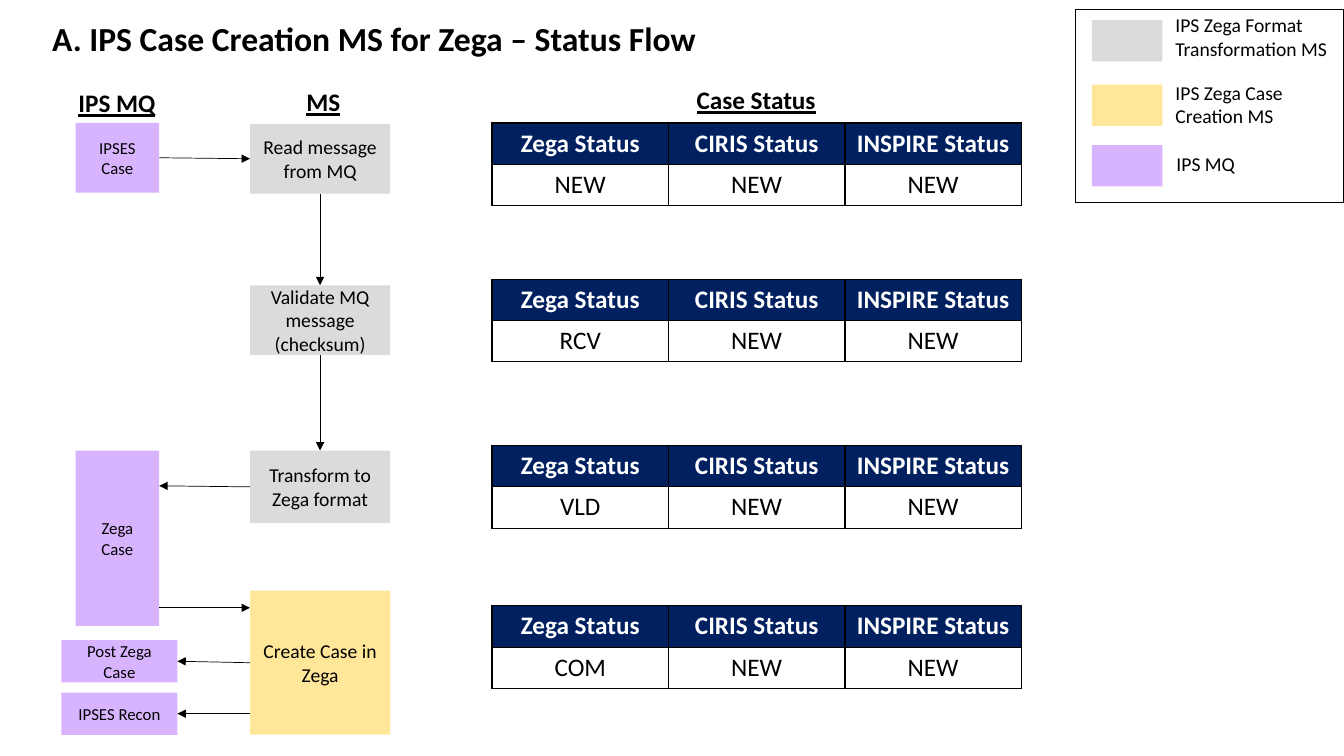
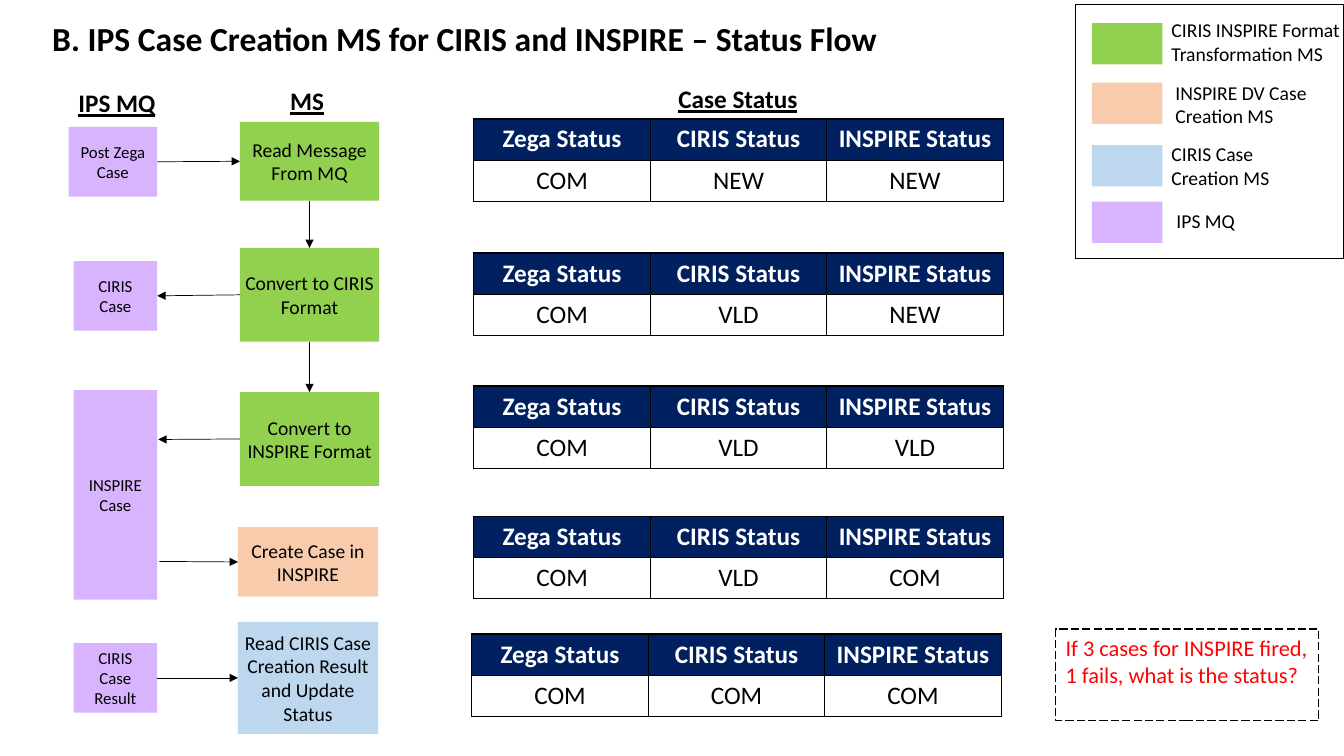
import pptx
import pptx.dml.color
import pptx.enum.dml
import pptx.enum.shapes
import pptx.enum.text
import pptx.oxml
import pptx.oxml.ns
import pptx.util
from lxml import etree

RGB = pptx.dml.color.RGBColor
BLACK = RGB(0x00, 0x00, 0x00)
WHITE = RGB(0xFF, 0xFF, 0xFF)
RED = RGB(0xFF, 0x00, 0x00)
NAVY = RGB(0x00, 0x20, 0x60)
GREY = RGB(0xDB, 0xDB, 0xDB)
YELLOW = RGB(0xFF, 0xE6, 0x99)
VIOLET = RGB(0xD8, 0xB4, 0xFF)
GREEN = RGB(0x92, 0xD0, 0x50)
PEACH = RGB(0xF8, 0xCB, 0xAD)
BLUE = RGB(0xBD, 0xD7, 0xEE)

PX = 9144  # EMU in one px, 100 px to the inch
TOP, LEFT, BOTTOM, RIGHT = range(4)
ALIGN = pptx.enum.text.PP_ALIGN
ANCHOR = pptx.enum.text.MSO_ANCHOR
STATUS_HEADERS = ("Zega Status", "CIRIS Status", "INSPIRE Status")


def emu(*lengths):
    return [pptx.util.Emu(length * PX) for length in lengths]


class StatusFlow:
    """Draws the elements of a status flow on the current slide."""

    font_name = "Calibri"
    column_width, row_height = 175, 41
    swatch_left, swatch_width, swatch_height = 1083, 70, 41

    def __init__(self):
        self.presentation = pptx.Presentation()
        self.presentation.slide_width, self.presentation.slide_height = emu(1333, 750)
        self.slide = None

    def new_slide(self, title):
        self.slide = self.presentation.slides.add_slide(self.presentation.slide_layouts[6])
        paragraph = self.text((42, -1, 1250, 82), title, 24, bold=True, anchor=ANCHOR.MIDDLE)
        paragraph.line_spacing = 0.9

    def fill_text(self, frame, text, size, color=BLACK, bold=False, align=ALIGN.LEFT):
        paragraph = frame.paragraphs[0]
        paragraph.text = text
        paragraph.alignment = align
        font = paragraph.font
        font.name, font.size, font.bold = self.font_name, pptx.util.Pt(size), bold
        font.color.rgb = color
        return paragraph

    def text(self, box, text, size, bold=False, anchor=ANCHOR.TOP):
        frame = self.slide.shapes.add_textbox(*emu(*box)).text_frame
        frame.word_wrap = True
        frame.vertical_anchor = anchor
        return self.fill_text(frame, text, size, bold=bold)

    def heading(self, left, top, width, text):
        self.text((left, top, width, 40), text, 18, bold=True).font.underline = True

    def rectangle(self, box, fill=None):
        """A filled rectangle without outline, or an empty one with a thin black outline."""
        shape = self.slide.shapes.add_shape(
            pptx.enum.shapes.MSO_SHAPE.RECTANGLE, *emu(*box))
        shape.shadow.inherit = False
        if fill is None:
            shape.fill.background()
            shape.line.color.rgb = BLACK
            shape.line.width = pptx.util.Pt(0.75)
        else:
            shape.fill.solid()
            shape.fill.fore_color.rgb = fill
            shape.line.fill.background()
        return shape

    def block(self, box, text, fill, size, inset):
        shape = self.rectangle(box, fill)
        frame = shape.text_frame
        frame.word_wrap = True
        frame.vertical_anchor = ANCHOR.MIDDLE
        frame.margin_left, frame.margin_top, frame.margin_right, frame.margin_bottom = (
            emu(inset) * 4)
        self.fill_text(frame, text, size, align=ALIGN.CENTER)
        return shape

    def step(self, box, text, fill):
        return self.block(box, text, fill, 14, 0)

    def queue(self, box, text):
        return self.block(box, text, VIOLET, 12, 10)

    def note(self, box, text):
        shape = self.rectangle(box)
        shape.line.dash_style = pptx.enum.dml.MSO_LINE.LONG_DASH
        shape.text_frame.word_wrap = True
        shape.text_frame.vertical_anchor = ANCHOR.TOP
        self.fill_text(shape.text_frame, text, 16, RED)

    def arrow(self, start, end):
        """Each end is a (shape, side) pair to join, or a free (x, y) point."""
        connector = self.slide.shapes.add_connector(
            pptx.enum.shapes.MSO_CONNECTOR.STRAIGHT, 0, 0, 0, 0)
        if isinstance(start[0], int):
            connector.begin_x, connector.begin_y = emu(*start)
        else:
            connector.begin_connect(*start)
        if isinstance(end[0], int):
            connector.end_x, connector.end_y = emu(*end)
        else:
            connector.end_connect(*end)
        connector.line.color.rgb = BLACK
        connector.line.width = pptx.util.Pt(0.5)
        properties = connector._element.spPr
        line = properties.find(pptx.oxml.ns.qn("a:ln"))
        etree.SubElement(line, pptx.oxml.ns.qn("a:tailEnd"), type="triangle")
        etree.SubElement(properties, pptx.oxml.ns.qn("a:effectLst"))

    def border(self, cell):
        properties = cell._tc.get_or_add_tcPr()
        for side in "LRTB":
            properties.append(pptx.oxml.parse_xml(
                f'<a:ln{side} {pptx.oxml.ns.nsdecls("a")} w="12700"><a:solidFill>'
                f'<a:srgbClr val="{BLACK}"/></a:solidFill></a:ln{side}>'))

    def status_table(self, left, top, statuses):
        rows = (STATUS_HEADERS, statuses)
        width, height = self.column_width * len(statuses), self.row_height * len(rows)
        table = self.slide.shapes.add_table(
            len(rows), len(statuses), *emu(left, top, width, height)).table
        table.first_row = table.horz_banding = False
        for row_index, values in enumerate(rows):
            is_header = row_index == 0
            for column_index, value in enumerate(values):
                cell = table.cell(row_index, column_index)
                self.border(cell)
                if is_header:
                    cell.fill.solid()
                    cell.fill.fore_color.rgb = NAVY
                else:
                    cell.fill.background()
                self.fill_text(cell.text_frame, value, 18, WHITE if is_header else BLACK,
                               is_header, ALIGN.CENTER)

    def status_tables(self, rows):
        for left, top, statuses in rows:
            self.status_table(left, top, statuses.split())

    def legend(self, top, height, entries):
        self.rectangle((1067, top, 266, height))
        for swatch_top, fill, label_box, label in entries:
            self.rectangle(
                (self.swatch_left, swatch_top, self.swatch_width, self.swatch_height), fill)
            frame = self.slide.shapes.add_textbox(*emu(*label_box)).text_frame
            frame.word_wrap = True
            frame.margin_right = 0
            self.fill_text(frame, label, 14)


def draw_format_flow(flow):
    flow.new_slide("A. IPS Case Creation MS for Zega – Status Flow")
    flow.heading(68, 82, 103, "IPS MQ")
    flow.heading(294, 81, 103, "MS")
    flow.heading(681, 79, 182, "Case Status")

    read_step = flow.step((248, 123, 139, 69), "Read message from MQ", GREY)
    validate = flow.step((248, 283, 139, 69), "Validate MQ message (checksum)", GREY)
    transform = flow.step((248, 447, 139, 72), "Transform to Zega format", GREY)
    create = flow.step((248, 586, 139, 143), "Create Case in Zega", YELLOW)

    source_case = flow.queue((75, 122, 83, 69), "IPSES Case")
    flow.queue((75, 447, 83, 174), "Zega Case")
    post_case = flow.queue((61, 635, 115, 42), "Post Zega Case")
    recon = flow.queue((61, 687, 115, 42), "IPSES Recon")

    flow.arrow((source_case, RIGHT), (read_step, LEFT))
    flow.arrow((read_step, BOTTOM), (validate, TOP))
    flow.arrow((validate, BOTTOM), (transform, TOP))
    flow.arrow((transform, LEFT), (158, 482))
    flow.arrow((158, 603), (248, 603))
    flow.arrow((create, LEFT), (post_case, RIGHT))
    flow.arrow((248, 708), (recon, RIGHT))

    flow.status_tables([
        (488, 122, "NEW NEW NEW"),
        (488, 277, "RCV NEW NEW"),
        (488, 442, "VLD NEW NEW"),
        (488, 601, "COM NEW NEW"),
    ])
    flow.legend(9, 192, [
        (20, GREY, (1156, 8, 177, 57), "IPS Zega Format Transformation MS"),
        (84, YELLOW, (1156, 75, 168, 57), "IPS Zega Case Creation MS"),
        (144, VIOLET, (1157, 146, 176, 34), "IPS MQ"),
    ])


def draw_conversion_flow(flow):
    flow.new_slide("B. IPS Case Creation MS for CIRIS and INSPIRE – Status Flow")
    flow.heading(68, 82, 103, "IPS MQ")
    flow.heading(278, 80, 103, "MS")
    flow.heading(663, 78, 182, "Case Status")

    read_step = flow.step((238, 121, 138, 78), "Read Message From MQ", GREEN)
    to_ciris = flow.step((238, 246, 138, 93), "Convert to CIRIS Format", GREEN)
    to_inspire = flow.step((238, 389, 138, 93), "Convert to INSPIRE Format", GREEN)
    create = flow.step((236, 523, 139, 69), "Create Case in INSPIRE", PEACH)
    update_step = flow.step((236, 617, 139, 111),
                            "Read CIRIS Case Creation Result and Update Status", BLUE)

    post_case = flow.queue((68, 126, 88, 69), "Post Zega Case")
    ciris_case = flow.queue((73, 259, 83, 69), "CIRIS Case")
    flow.queue((73, 387, 83, 208), "INSPIRE Case")
    result = flow.queue((73, 638, 83, 69), "CIRIS Case Result")

    flow.arrow((post_case, RIGHT), (read_step, LEFT))
    flow.arrow((read_step, BOTTOM), (to_ciris, TOP))
    flow.arrow((to_ciris, LEFT), (ciris_case, RIGHT))
    flow.arrow((to_ciris, BOTTOM), (to_inspire, TOP))
    flow.arrow((to_inspire, LEFT), (157, 436))
    flow.arrow((158, 557), (create, LEFT))
    flow.arrow((result, RIGHT), (update_step, LEFT))

    flow.status_tables([
        (470, 118, "COM NEW NEW"),
        (470, 251, "COM VLD NEW"),
        (470, 383, "COM VLD VLD"),
        (470, 512, "COM VLD COM"),
        (468, 629, "COM COM COM"),
    ])
    flow.note((1047, 624, 261, 91),
              "If 3 cases for INSPIRE fired, 1 fails, what is the status?")
    flow.legend(4, 252, [
        (23, GREEN, (1152, 13, 181, 57), "CIRIS INSPIRE Format Transformation MS"),
        (82, PEACH, (1156, 75, 177, 57), "INSPIRE DV Case Creation MS"),
        (144, BLUE, (1152, 136, 160, 57), "CIRIS Case Creation MS"),
        (200, VIOLET, (1157, 202, 176, 34), "IPS MQ"),
    ])


def main():
    flow = StatusFlow()
    draw_format_flow(flow)
    draw_conversion_flow(flow)
    flow.presentation.save("out.pptx")


if __name__ == "__main__":
    main()
